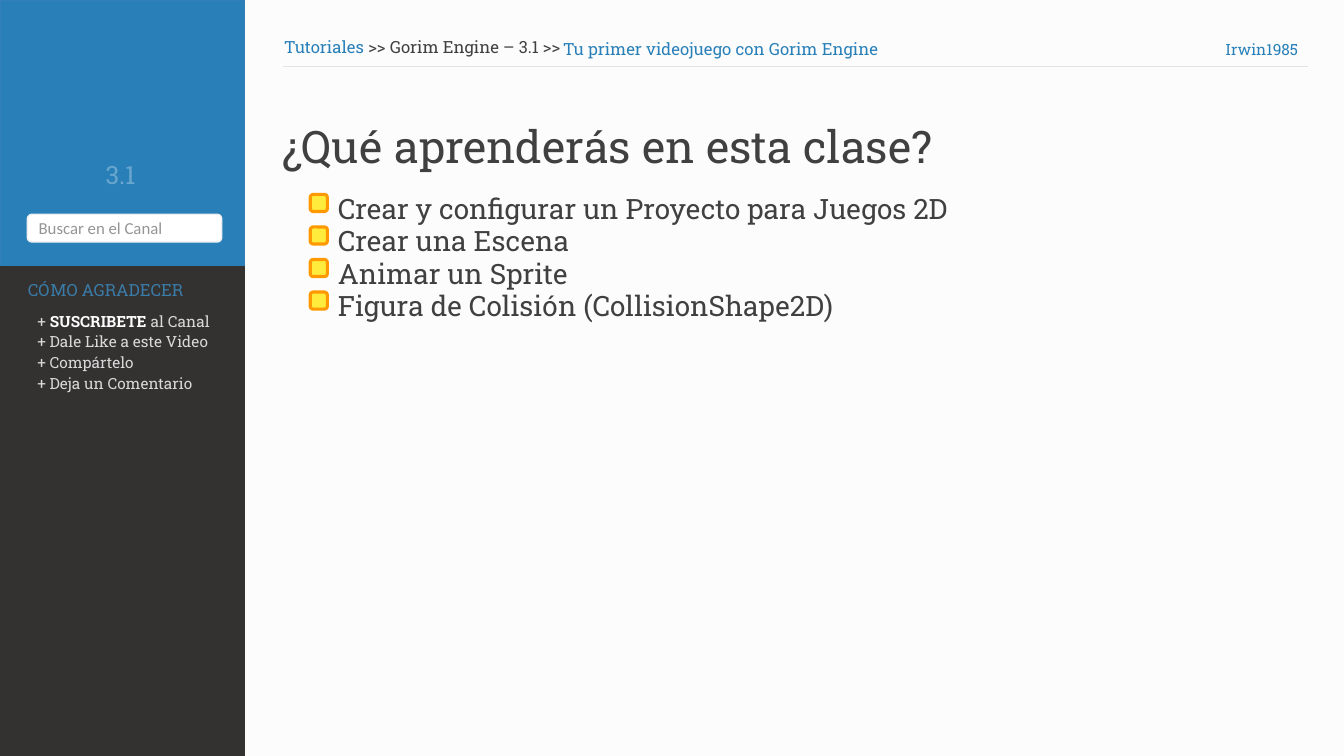
from pptx import Presentation
from pptx.dml.color import RGBColor
from pptx.enum.shapes import MSO_CONNECTOR, MSO_SHAPE
from pptx.enum.text import MSO_ANCHOR, MSO_AUTO_SIZE, PP_ALIGN
from pptx.oxml.ns import qn
from pptx.util import Cm, Pt
from lxml.etree import SubElement

BLUE = RGBColor(0x29, 0x80, 0xB9)
BLUE_EDGE = RGBColor(0x33, 0x80, 0xB9)
PALE_BLUE = RGBColor(0x6A, 0xA6, 0xCE)
DULL_BLUE = RGBColor(0x3A, 0x7C, 0xA8)
CHARCOAL = RGBColor(0x34, 0x31, 0x31)
INK = RGBColor(0x40, 0x40, 0x40)
GREY = RGBColor(0x95, 0x95, 0x95)
SILVER = RGBColor(0xD9, 0xD9, 0xD9)
RULE = RGBColor(0xE1, 0xE4, 0xE5)
SEARCH_EDGE = RGBColor(0xEF, 0xEF, 0xEF)
WHITE = RGBColor(0xFF, 0xFF, 0xFF)
PAPER = RGBColor(0xFC, 0xFC, 0xFC)
YELLOW = RGBColor(0xFF, 0xEB, 0x3B)
ORANGE = RGBColor(0xFF, 0x99, 0x01)

HEADING = "¿Qué aprenderás en esta clase?"
TOPICS = [
    "Crear y configurar un Proyecto para Juegos 2D",
    "Crear una Escena",
    "Animar un Sprite",
    "Figura de Colisión (CollisionShape2D)",
]
VERSION = "3.1"
SEARCH = "Buscar en el Canal"
THANKS_HEADING = "CÓMO AGRADECER"
THANKS = [
    [("+ ", SILVER, False), ("SUSCRIBETE", WHITE, True), (" al Canal", SILVER, False)],
    "+ Dale Like a este Video",
    "+ Compártelo",
    "+ Deja un Comentario",
]
SECTION = [("Tutoriales ", BLUE, False), (">> Gorim Engine – 3.1 >>", INK, False)]
LESSON = "Tu primer videojuego con Gorim Engine"
AUTHOR = "Irwin1985"

SIDEBAR_WIDTH = 6.17
BANNER_HEIGHT = 6.73
TOPIC_PITCH = 0.82
MARKER_SIZE = 0.43
MARKER_LEFT, MARKER_TOP = 7.82, 4.9


def write(frame, lines, size=12, color=INK, font="Roboto Slab",
          align=PP_ALIGN.LEFT, anchor=MSO_ANCHOR.TOP, spacing=None):
    frame.word_wrap = True
    frame.auto_size = MSO_AUTO_SIZE.NONE
    frame.vertical_anchor = anchor
    for index, line in enumerate(lines):
        paragraph = frame.add_paragraph() if index else frame.paragraphs[0]
        paragraph.alignment = align
        paragraph.space_before = Pt(0)
        if spacing:
            paragraph.line_spacing = spacing
        pieces = [(line, color, False)] if isinstance(line, str) else line
        for text, ink, bold in pieces:
            run = paragraph.add_run()
            run.text = text
            run.font.name = font
            run.font.size = Pt(size)
            run.font.bold = bold
            run.font.color.rgb = ink


def place(part, left, top, width, height):
    part.left, part.top, part.width, part.height = map(Cm, (left, top, width, height))


def add_label(slide, box, lines, **style):
    label = slide.shapes.add_textbox(*map(Cm, box))
    write(label.text_frame, lines, **style)


def add_block(slide, preset, box, fill, edge, weight=1):
    block = slide.shapes.add_shape(preset, *map(Cm, box))
    block.shadow.inherit = False
    block.fill.solid()
    block.fill.fore_color.rgb = fill
    block.line.color.rgb = edge
    block.line.width = Pt(weight)
    return block


def add_sidebar(slide, slide_height):
    add_block(slide, MSO_SHAPE.RECTANGLE, (0, 0, SIDEBAR_WIDTH, BANNER_HEIGHT), BLUE, BLUE_EDGE)
    add_block(slide, MSO_SHAPE.RECTANGLE,
              (0, BANNER_HEIGHT, SIDEBAR_WIDTH, slide_height - BANNER_HEIGHT), CHARCOAL, CHARCOAL)
    add_label(slide, (2.41, 3.89, 1.8, 1.02), [VERSION], size=18, color=PALE_BLUE)
    search = add_block(slide, MSO_SHAPE.ROUNDED_RECTANGLE, (0.69, 5.4, 4.9, 0.7), WHITE, SEARCH_EDGE)
    write(search.text_frame, [SEARCH], color=GREY, font="Calibri", anchor=MSO_ANCHOR.MIDDLE)
    add_label(slide, (0.33, 6.93, 4.67, 0.76), [THANKS_HEADING], color=DULL_BLUE, align=PP_ALIGN.CENTER)
    add_label(slide, (0.69, 7.67, 4.95, 2.31), THANKS, size=11, color=SILVER, spacing=Pt(14.9))


def add_header(slide):
    rule = slide.shapes.add_connector(MSO_CONNECTOR.STRAIGHT, Cm(7.14), Cm(1.68), Cm(32.97), Cm(1.68))
    rule.line.color.rgb = RULE
    rule.line.width = Pt(0.5)
    SubElement(rule.line._get_or_add_ln().getparent(), qn("a:effectLst"))
    add_label(slide, (6.91, 0.81, 7.54, 0.76), [SECTION])
    add_label(slide, (13.94, 0.86, 13, 0.76), [LESSON], color=BLUE)
    add_label(slide, (30.63, 0.89, 2.44, 0.74), [AUTHOR], size=11, color=BLUE)


def fill_lesson(slide):
    title, topics = slide.shapes.title, slide.placeholders[1]
    place(title, 6.86, 2.87, 17.45, 1.63)
    write(title.text_frame, [HEADING], size=32)
    place(topics, 8.26, 4.72, 16.41, 3.6)
    write(topics.text_frame, TOPICS, size=20, spacing=Cm(TOPIC_PITCH))
    for index, paragraph in enumerate(topics.text_frame.paragraphs):
        properties = paragraph._p.get_or_add_pPr()
        properties.set("marL", "0")
        properties.set("indent", "0")
        SubElement(properties, qn("a:buNone"))
        add_block(slide, MSO_SHAPE.ROUNDED_RECTANGLE,
                  (MARKER_LEFT, MARKER_TOP + index * TOPIC_PITCH, MARKER_SIZE, MARKER_SIZE),
                  YELLOW, ORANGE, weight=2.25)


def main():
    width, height = 33.87, 19.05
    deck = Presentation()
    deck.slide_width, deck.slide_height = Cm(width), Cm(height)
    slide = deck.slides.add_slide(deck.slide_layouts[1])
    slide.background.fill.solid()
    slide.background.fill.fore_color.rgb = PAPER
    add_sidebar(slide, height)
    add_header(slide)
    fill_lesson(slide)
    deck.save("out.pptx")


if __name__ == "__main__":
    main()
